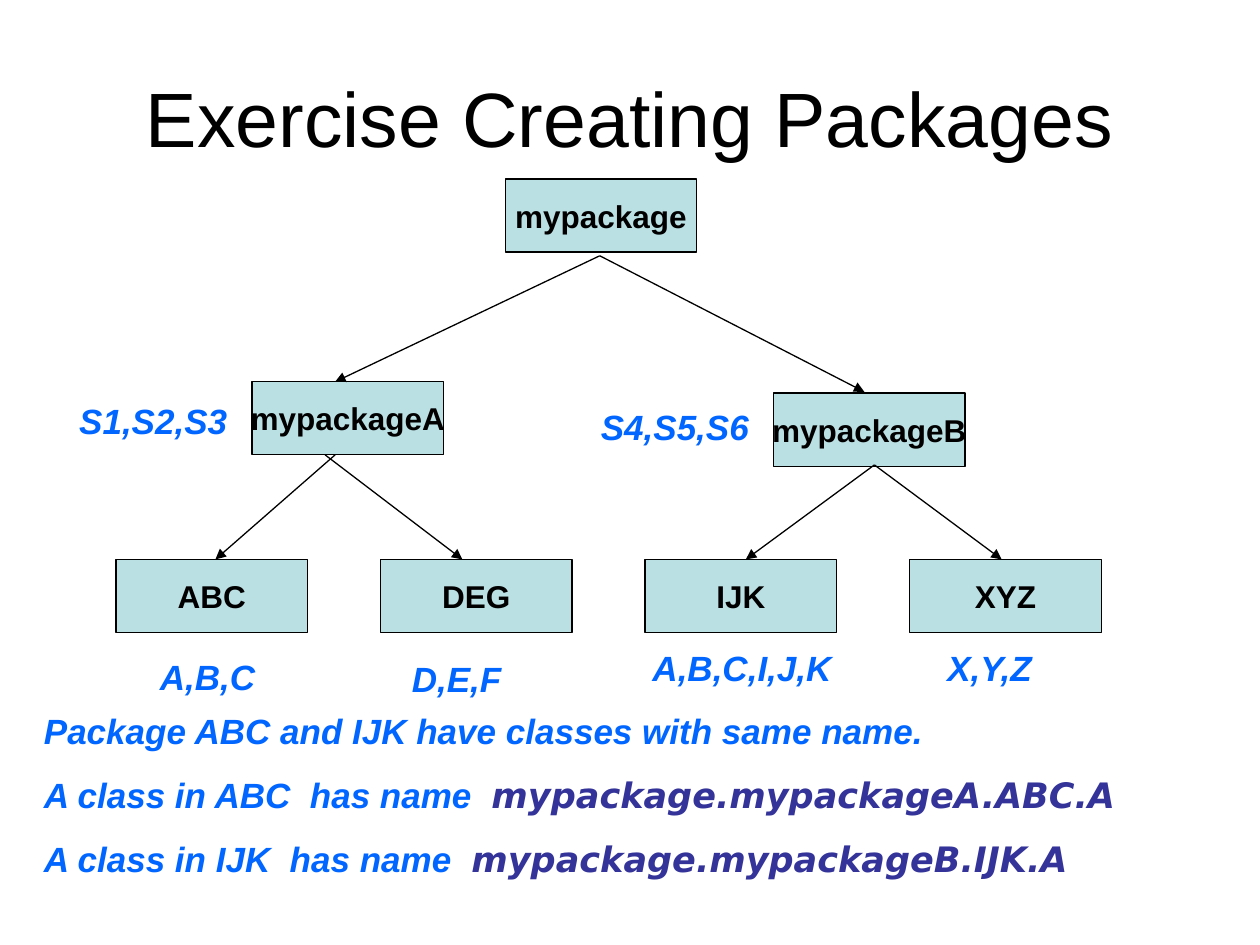
from dataclasses import dataclass

import pptx
import pptx.dml.color
import pptx.enum.shapes
import pptx.enum.text
import pptx.oxml.ns
import pptx.util
from lxml import etree
from pptx.util import Inches

COLORS = {
    "black": "000000",
    "box": "BBE0E3",
    "note": "0066FF",
    "path": "333399",
}
BOX_WIDTH, BOX_HEIGHT = 1.52, 0.58
LEAF_LEFT, LEAF_TOP, LEAF_STEP = 0.92, 4.44, 2.1
LINE_WIDTH = pptx.util.Pt(0.75)


@dataclass
class PackageBox:
    name: str
    left: float
    top: float


@dataclass
class Arrow:
    start: tuple[float, float]
    end: tuple[float, float]


@dataclass
class TextPart:
    text: str
    color: str = "note"
    font: str = "Arial"
    size: float = 20
    bold: bool = True
    italic: bool = True


@dataclass
class Note:
    left: float
    top: float
    width: float
    height: float
    lines: list[list[TextPart]]


def rgb(name: str) -> pptx.dml.color.RGBColor:
    return pptx.dml.color.RGBColor.from_string(COLORS[name])


def add_part(paragraph, part: TextPart) -> None:
    run = paragraph.add_run()
    run.text = part.text
    run.font.name = part.font
    run.font.size = pptx.util.Pt(part.size)
    run.font.bold = part.bold
    run.font.italic = part.italic
    run.font.color.rgb = rgb(part.color)


def add_title(slide, text: str) -> None:
    shape = slide.shapes.add_textbox(Inches(0.5), Inches(0.3), Inches(9), Inches(1.25))
    frame = shape.text_frame
    frame.word_wrap = True
    frame.vertical_anchor = pptx.enum.text.MSO_ANCHOR.MIDDLE
    paragraph = frame.paragraphs[0]
    paragraph.alignment = pptx.enum.text.PP_ALIGN.CENTER
    add_part(paragraph, TextPart(text, "black", size=44, bold=False, italic=False))


def add_package(slide, box: PackageBox) -> None:
    shape = slide.shapes.add_shape(
        pptx.enum.shapes.MSO_SHAPE.RECTANGLE,
        Inches(box.left), Inches(box.top), Inches(BOX_WIDTH), Inches(BOX_HEIGHT),
    )
    shape.shadow.inherit = False
    shape.fill.solid()
    shape.fill.fore_color.rgb = rgb("box")
    shape.line.color.rgb = rgb("black")
    shape.line.width = LINE_WIDTH
    frame = shape.text_frame
    frame.word_wrap = False
    frame.vertical_anchor = pptx.enum.text.MSO_ANCHOR.MIDDLE
    paragraph = frame.paragraphs[0]
    paragraph.alignment = pptx.enum.text.PP_ALIGN.CENTER
    add_part(paragraph, TextPart(box.name, "black", size=18, italic=False))


def add_arrow(slide, arrow: Arrow) -> None:
    connector = slide.shapes.add_connector(
        pptx.enum.shapes.MSO_CONNECTOR.STRAIGHT,
        *(Inches(value) for value in arrow.start + arrow.end),
    )
    connector.line.color.rgb = rgb("black")
    connector.line.width = LINE_WIDTH
    qualified = pptx.oxml.ns.qn
    line = connector.line._get_or_add_ln()
    etree.SubElement(line, qualified("a:tailEnd"), type="triangle")
    etree.SubElement(connector._element.spPr, qualified("a:effectLst"))


def add_note(slide, note: Note) -> None:
    shape = slide.shapes.add_textbox(
        Inches(note.left), Inches(note.top), Inches(note.width), Inches(note.height)
    )
    frame = shape.text_frame
    frame.word_wrap = True
    for index, parts in enumerate(note.lines):
        if index:
            paragraph = frame.add_paragraph()
            paragraph.space_before = pptx.util.Pt(12.5)
        else:
            paragraph = frame.paragraphs[0]
        for part in parts:
            add_part(paragraph, part)


def class_list(text: str, left: float, top: float, width: float) -> Note:
    return Note(left, top, width, 0.44, [[TextPart(text)]])


def full_name(package: str, path: str) -> list[TextPart]:
    return [
        TextPart(f"A class in {package}  has name  "),
        TextPart(path, "path", "DejaVu Sans"),
    ]


# Package tree
PACKAGES = [
    PackageBox("mypackage", 4.01, 1.42),
    PackageBox("mypackageB", 6.14, 3.12),
    PackageBox("mypackageA", 2, 3.03),
] + [
    PackageBox(name, LEAF_LEFT + index * LEAF_STEP, LEAF_TOP)
    for index, name in enumerate(["ABC", "DEG", "IJK", "XYZ"])
]

ROOT_START, B_START = (4.76, 2.03), (6.94, 3.69)
ARROWS = [
    Arrow((2.66, 3.61), (1.71, LEAF_TOP)),
    Arrow((2.58, 3.61), (3.67, LEAF_TOP)),
    Arrow(ROOT_START, (2.66, 3.03)),
    Arrow(ROOT_START, (6.86, 3.11)),
    Arrow(B_START, (5.92, LEAF_TOP)),
    Arrow(B_START, (7.95, LEAF_TOP)),
]

# Class lists beside the packages, then the explanation
NOTES = [
    class_list("S1,S2,S3", 0.53, 3.12, 1.42),
    class_list("S4,S5,S6", 4.67, 3.17, 1.42),
    class_list("A,B,C", 1.17, 5.15, 1.08),
    class_list("D,E,F", 3.17, 5.17, 1.08),
    class_list("A,B,C,I,J,K", 5.08, 5.08, 1.75),
    class_list("X,Y,Z", 7.42, 5.08, 1.08),
    Note(0.25, 5.58, 9.75, 1.45, [
        [TextPart("Package ABC and IJK have classes with same name.")],
        full_name("ABC", "mypackage.mypackageA.ABC.A"),
        full_name("IJK", "mypackage.mypackageB.IJK.A"),
    ]),
]


def main() -> None:
    presentation = pptx.Presentation()
    presentation.slide_width = Inches(10)
    presentation.slide_height = Inches(7.5)
    slide = presentation.slides.add_slide(presentation.slide_layouts[6])

    add_title(slide, "Exercise Creating Packages")
    for package in PACKAGES:
        add_package(slide, package)
    for arrow in ARROWS:
        add_arrow(slide, arrow)
    for note in NOTES:
        add_note(slide, note)

    presentation.save("out.pptx")


if __name__ == "__main__":
    main()
